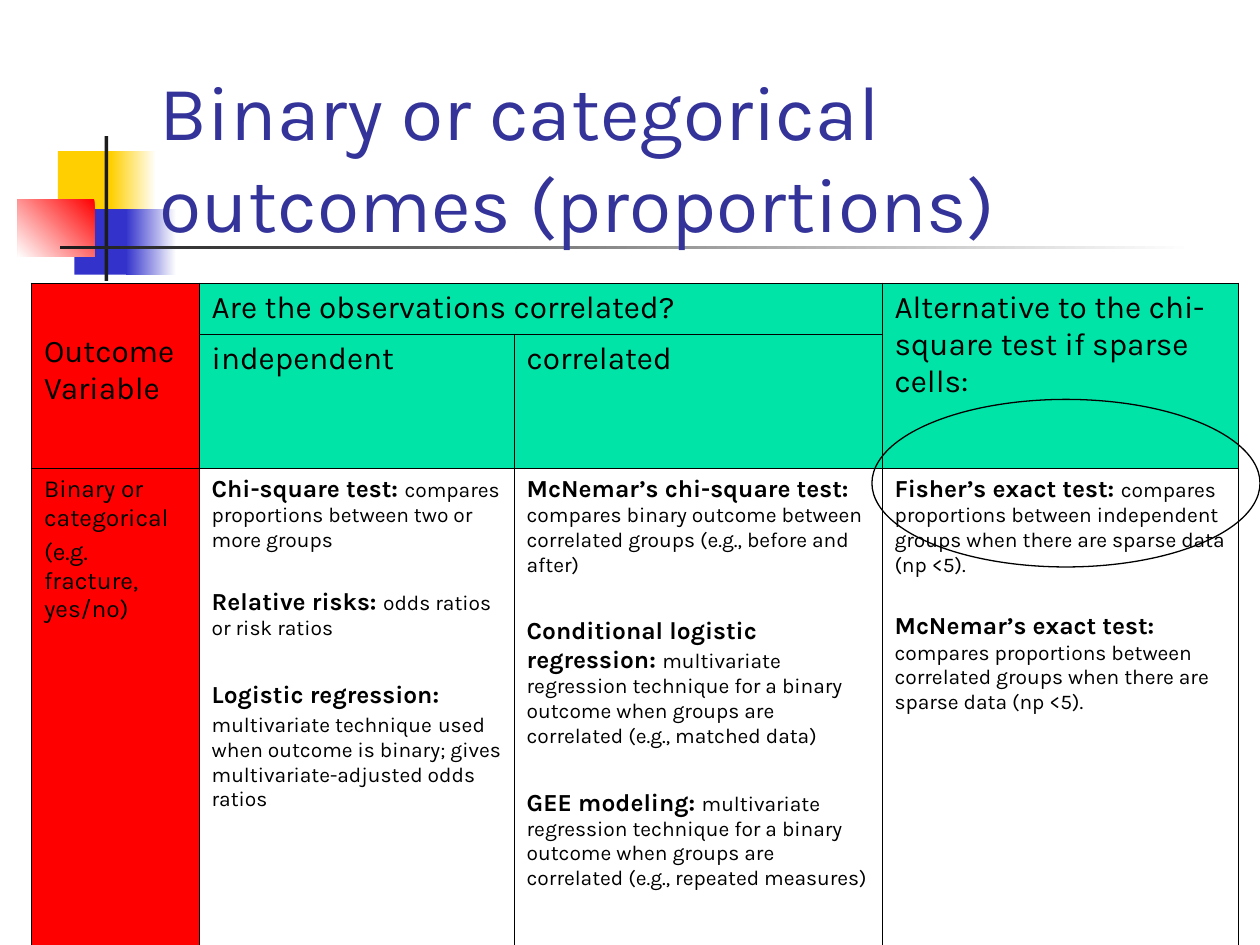
"""Build the slide on tests for binary or categorical outcomes."""
import pptx
import pptx.dml.color
import pptx.enum.shapes
import pptx.enum.text
import pptx.oxml
import pptx.oxml.ns
import pptx.util

Inches = pptx.util.Inches
Pt = pptx.util.Pt


def rgb(value):
    return pptx.dml.color.RGBColor.from_string(value)


def write_paragraph(paragraph, runs, color="000000", space_before=0):
    paragraph.space_before = Pt(space_before)
    for text, size, bold in runs:
        run = paragraph.add_run()
        run.text = text
        formats = {"name": "Karla", "size": Pt(size), "bold": bold}
        for name, value in formats.items():
            setattr(run.font, name, value)
        run.font.color.rgb = rgb(color)


presentation = pptx.Presentation()
presentation.slide_width = Inches(10)
presentation.slide_height = Inches(7.5)
slide = presentation.slides.add_slide(presentation.slide_layouts[6])
shape_types = pptx.enum.shapes.MSO_SHAPE

decorations = [
    ((0.46, 1.2, 0.48, 0.52), ["FFCF01"], None),
    ((0.88, 1.2, 0.36, 0.52), ["FFFFFF", "FFCF01"], 180),
    ((0.59, 1.66, 0.46, 0.52), ["3333CC"], None),
    ((1, 1.66, 0.4, 0.52), ["FFFFFF", "3333CC"], 180),
    ((0.14, 1.58, 0.61, 0.46), ["FF0000", "FFFFFF"], 225),
    ((0.83, 1.08, 0.03, 1.15), ["1C1C1C"], None),
    ((0.48, 1.95, 9, 0.03), ["FFFFFF", "1C1C1C"], 180),
]
for box, colors, angle in decorations:
    shape = slide.shapes.add_shape(shape_types.RECTANGLE, *map(Inches, box))
    shape.shadow.inherit = False
    shape.line.fill.background()
    if angle is None:
        shape.fill.solid()
        shape.fill.fore_color.rgb = rgb(colors[0])
    else:
        shape.fill.gradient()
        shape.fill.gradient_angle = angle
        for position, (stop, color) in enumerate(zip(shape.fill.gradient_stops, colors)):
            stop.color.rgb = rgb(color)
            stop.position = position

title = slide.shapes.add_textbox(Inches(1.17), Inches(0.42), Inches(8.52), Inches(1.6))
title.text_frame.word_wrap = True
title.text_frame.vertical_anchor = pptx.enum.text.MSO_ANCHOR.BOTTOM
write_paragraph(title.text_frame.paragraphs[0],
                [("Binary or categorical outcomes (proportions)", 44, False)], "333399")

column_widths = [1.33, 2.5, 2.92, 2.83]
row_heights = [0.4, 1.07, 3.93]
table = slide.shapes.add_table(
    len(row_heights), len(column_widths), Inches(0.25), Inches(2.25),
    Inches(sum(column_widths)), Inches(sum(row_heights))).table
table.first_row = table.horz_banding = False
for column, width in zip(table.columns, column_widths):
    column.width = Inches(width)
for row, height in zip(table.rows, row_heights):
    row.height = Inches(height)

last_row, last_column = len(row_heights) - 1, len(column_widths) - 1
for r in range(last_row + 1):
    for c in range(last_column + 1):
        cell = table.cell(r, c)
        properties = cell._tc.get_or_add_tcPr()
        outer_edges = {"L": c == 0, "R": c == last_column, "T": r == 0, "B": r == last_row}
        for side, outer in outer_edges.items():
            width = Pt(1.08 if outer else 0.45)
            properties.append(pptx.oxml.parse_xml(
                f'<a:ln{side} {pptx.oxml.ns.nsdecls("a")} w="{width}"><a:solidFill>'
                f'<a:srgbClr val="000000"/></a:solidFill></a:ln{side}>'))
        if c == 0 or r < last_row:
            cell.fill.solid()
            cell.fill.fore_color.rgb = rgb("FF0000" if c == 0 else "00E4A8")
        else:
            cell.fill.background()

for first, last in [((0, 0), (1, 0)), ((0, 1), (0, 2)), ((0, 3), (1, 3))]:
    table.cell(*first).merge(table.cell(*last))

headings = {
    (0, 0): "Outcome Variable",
    (0, 1): "Are the observations correlated?",
    (0, 3): "Alternative to the chi-square test if sparse cells:",
    (1, 1): "independent",
    (1, 2): "correlated",
}
for position, text in headings.items():
    write_paragraph(table.cell(*position).text_frame.paragraphs[0], [(text, 18, False)])
table.cell(0, 0).margin_top = Inches(0.4)

regression = "multivariate regression technique for a binary outcome when groups are correlated "
sparse = "groups when there are sparse data (np <5)."
outcome = [
    (0, [("Binary or categorical", 14, False)]),
    (3.5, [("(e.g. fracture, yes/no)", 14, False)]),
]
independent = [
    (0, [("Chi-square test: ", 14, True),
         ("compares proportions between two or more groups", 12, False)]),
    (20, [("Relative risks: ", 14, True), ("odds ratios or risk ratios", 12, False)]),
    (23, [("Logistic regression: ", 14, True), ("multivariate technique", 12, False),
          (" ", 14, False),
          ("used when outcome is binary; gives multivariate-adjusted odds ratios", 12, False)]),
]
correlated = [
    (0, [("McNemar’s chi-square test: ", 14, True),
         ("compares binary outcome between correlated groups (e.g., before and after)", 12, False)]),
    (23, [("Conditional logistic regression: ", 14, True),
          (regression + "(e.g., matched data)", 12, False)]),
    (23, [("GEE modeling: ", 14, True),
          (regression + "(e.g., repeated measures)", 12, False)]),
]
alternative = [
    (0, [("Fisher’s exact test: ", 14, True),
         ("compares proportions between independent " + sparse, 12, False)]),
    (20, [("McNemar’s exact test: ", 14, True),
          ("compares proportions between correlated " + sparse, 12, False)]),
]
for c, paragraphs in enumerate([outcome, independent, correlated, alternative]):
    text_frame = table.cell(last_row, c).text_frame
    for index, (space_before, runs) in enumerate(paragraphs):
        paragraph = text_frame.add_paragraph() if index else text_frame.paragraphs[0]
        write_paragraph(paragraph, runs, space_before=space_before)

ellipse = slide.shapes.add_shape(
    shape_types.OVAL, Inches(6.92), Inches(3.17), Inches(3.08), Inches(1.33))
ellipse.shadow.inherit = False
ellipse.fill.background()
ellipse.line.color.rgb = rgb("000000")
ellipse.line.width = Pt(0.74)

presentation.save("out.pptx")
